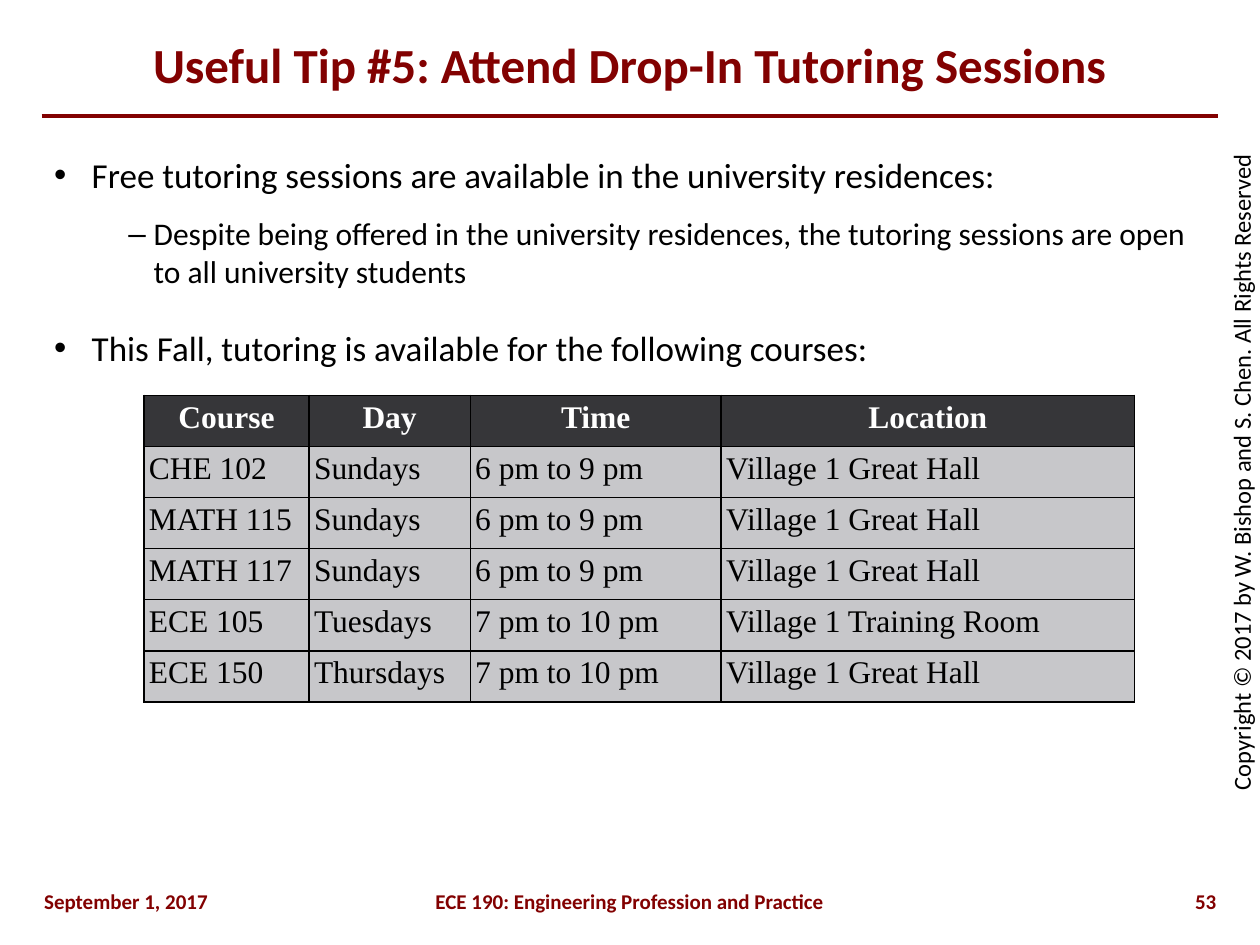
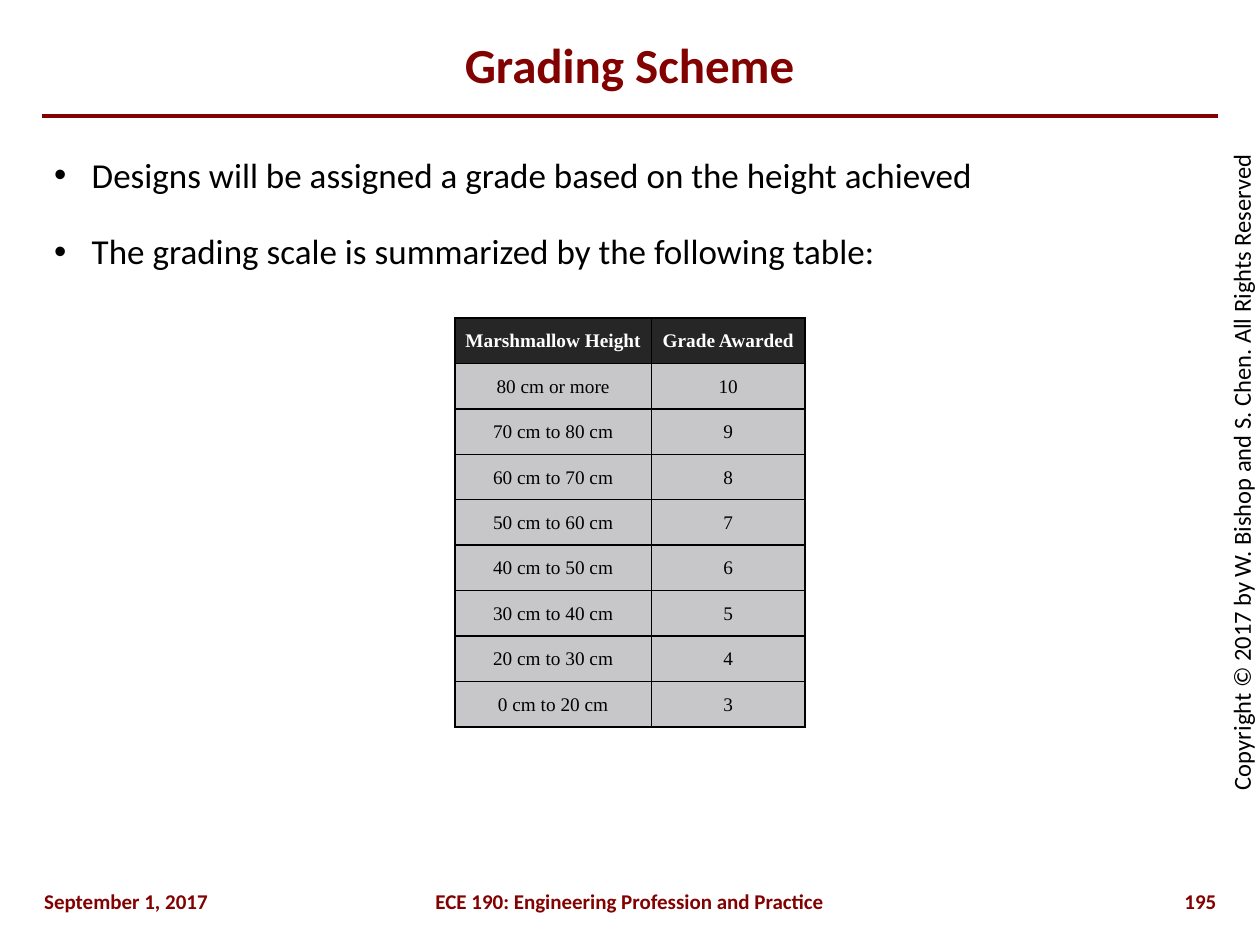
from dataclasses import dataclass

from lxml.etree import SubElement
from pptx import Presentation
from pptx.dml.color import RGBColor
from pptx.enum.shapes import MSO_CONNECTOR
from pptx.enum.text import MSO_ANCHOR, PP_ALIGN
from pptx.oxml.ns import qn
from pptx.util import Cm, Pt


@dataclass(frozen=True)
class Theme:
    # Colours
    accent: str = "820101"
    ink: str = "000000"
    paper: str = "FFFFFF"
    cell: str = "C7C7CA"
    # Fonts and sizes
    sans: str = "Calibri"
    serif: str = "Times New Roman"
    title: int = 28
    item: int = 20
    sub: int = 18
    side: int = 14
    foot: int = 12


@dataclass(frozen=True)
class Grid:
    """Look of one table: lengths in cm, size in points."""
    left: float
    top: float
    cols: tuple
    row: float
    pad_x: float
    pad_y: float
    size: int
    head: str
    align: PP_ALIGN = PP_ALIGN.LEFT
    pitch: float = 1.0


COURSE = "ECE 190: Engineering Profession and Practice"
DATE = "September 1, 2017"
RIGHTS = "Copyright © 2017 by W. Bishop and S. Chen. All Rights Reserved"


class Deck:
    def __init__(self, theme):
        self.theme = theme
        self.prs = Presentation()
        self.prs.slide_width, self.prs.slide_height = Cm(25.4), Cm(19.05)
        self.slide = None

    def page(self, title, number):
        """Start a slide with its title, rule, side note and footer."""
        t = self.theme
        self.slide = self.prs.slides.add_slide(self.prs.slide_layouts[6])
        self.rule(0.84, 24.56, 2.33)
        side = self.label(RIGHTS, 15.93, 9.09, 18.2, 0.86, t.side, t.ink,
                          bold=False)
        side.rotation = 270
        head = self.label(title, 0.84, 0.43, 23.7, 1.7, t.title, t.accent)
        head.text_frame.vertical_anchor = MSO_ANCHOR.MIDDLE
        for text, left, width, align in (
                (DATE, 0.64, 4.45, PP_ALIGN.LEFT),
                (COURSE, 4.23, 16.93, PP_ALIGN.CENTER),
                (str(number), 21.59, 3.18, PP_ALIGN.RIGHT)):
            self.label(text, left, 17.78, width, 0.64, t.foot, t.accent, align)

    def rule(self, left, right, top):
        line = self.slide.shapes.add_connector(
            MSO_CONNECTOR.STRAIGHT, Cm(left), Cm(top), Cm(right), Cm(top))
        line.line.color.rgb = RGBColor.from_string(self.theme.accent)
        line.line.width = Pt(2.25)
        SubElement(line._element.spPr, qn("a:effectLst"))

    def box(self, left, top, width, height):
        shape = self.slide.shapes.add_textbox(
            Cm(left), Cm(top), Cm(width), Cm(height))
        shape.text_frame.word_wrap = True
        return shape

    def run(self, para, text, size, color, bold=False, face=None):
        run = para.add_run()
        run.text = text
        font = run.font
        font.name, font.size, font.bold = face or self.theme.sans, Pt(size), bold
        font.color.rgb = RGBColor.from_string(color)

    def label(self, text, left, top, width, height, size, color,
              align=PP_ALIGN.CENTER, bold=True):
        shape = self.box(left, top, width, height)
        para = shape.text_frame.paragraphs[0]
        para.alignment = align
        self.run(para, text, size, color, bold)
        return shape

    def list(self, items):
        """Draw bullets from pairs of level and text."""
        t = self.theme
        # Mark, left margin, hanging indent, size, space before and after
        styles = (("•", 0.76, -0.76, t.item, 15, 5),
                  ("–", 2.01, -0.51, t.sub, 6, 6))
        frame = self.box(0.84, 2.96, 23.7, 14.18).text_frame
        for i, (level, text) in enumerate(items):
            mark, margin, hang, size, before, after = styles[level]
            para = frame.add_paragraph() if i else frame.paragraphs[0]
            para.level = level
            props = para._p.get_or_add_pPr()
            props.set("marL", str(Cm(margin)))
            props.set("indent", str(Cm(hang)))
            SubElement(props, qn("a:buFont"), typeface="Arial")
            SubElement(props, qn("a:buChar"), char=mark)
            para.space_before = Pt(before if i else 0)
            para.space_after = Pt(after)
            self.run(para, text, size, t.ink)

    def border(self, cell):
        props = cell._tc.get_or_add_tcPr()
        for side in ("lnL", "lnR", "lnT", "lnB"):
            line = SubElement(props, qn(f"a:{side}"), w=str(Pt(1)))
            fill = SubElement(line, qn("a:solidFill"))
            SubElement(fill, qn("a:srgbClr"), val=self.theme.ink)

    def table(self, grid, rows):
        t = self.theme
        table = self.slide.shapes.add_table(
            len(rows), len(grid.cols), Cm(grid.left), Cm(grid.top),
            Cm(sum(grid.cols)), Cm(grid.row * len(rows))).table
        for col, width in zip(table.columns, grid.cols):
            col.width = Cm(width)
        for r, row in enumerate(rows):
            table.rows[r].height = Cm(grid.row)
            head = r == 0
            for c, text in enumerate(row):
                cell = table.cell(r, c)
                cell.margin_left = cell.margin_right = Cm(grid.pad_x)
                cell.margin_top = cell.margin_bottom = Cm(grid.pad_y)
                self.border(cell)
                cell.fill.solid()
                cell.fill.fore_color.rgb = RGBColor.from_string(
                    grid.head if head else t.cell)
                para = cell.text_frame.paragraphs[0]
                para.alignment = PP_ALIGN.CENTER if head else grid.align
                para.line_spacing = grid.pitch
                self.run(para, text, grid.size, t.paper if head else t.ink,
                         head, t.serif)


def main():
    deck = Deck(Theme())

    # Tutoring sessions
    deck.page("Useful Tip #5: Attend Drop-In Tutoring Sessions", 53)
    deck.list((
        (0, "Free tutoring sessions are available in the university residences:"),
        (1, "Despite being offered in the university residences, the tutoring "
            "sessions are open to all university students"),
        (0, "This Fall, tutoring is available for the following courses:")))
    early, late = "6 pm to 9 pm", "7 pm to 10 pm"
    hall = "Village 1 Great Hall"
    deck.table(
        Grid(left=2.9, top=7.97, cols=(3.33, 3.25, 5.06, 8.33), row=1.03,
             pad_x=0.1, pad_y=0.1, size=18, head="363639"),
        (("Course", "Day", "Time", "Location"),
         ("CHE 102", "Sundays", early, hall),
         ("MATH 115", "Sundays", early, hall),
         ("MATH 117", "Sundays", early, hall),
         ("ECE 105", "Tuesdays", late, "Village 1 Training Room"),
         ("ECE 150", "Thursdays", late, hall)))

    # Grading scale
    deck.page("Grading Scheme", 195)
    deck.list((
        (0, "Designs will be assigned a grade based on the height achieved"),
        (0, "The grading scale is summarized by the following table:")))
    bands = [(f"{low} cm to {low + 10} cm", str(low // 10 + 2))
             for low in range(70, 10, -10)]
    deck.table(
        Grid(left=9.17, top=6.41, cols=(3.96, 3.1), row=0.89, pad_x=0.18,
             pad_y=0.19, size=11, head="262626", align=PP_ALIGN.CENTER,
             pitch=1.15),
        [("Marshmallow Height", "Grade Awarded"), ("80 cm or more", "10"),
         *bands, ("0 cm to 20 cm", "3")])

    deck.prs.save("out.pptx")


if __name__ == "__main__":
    main()
